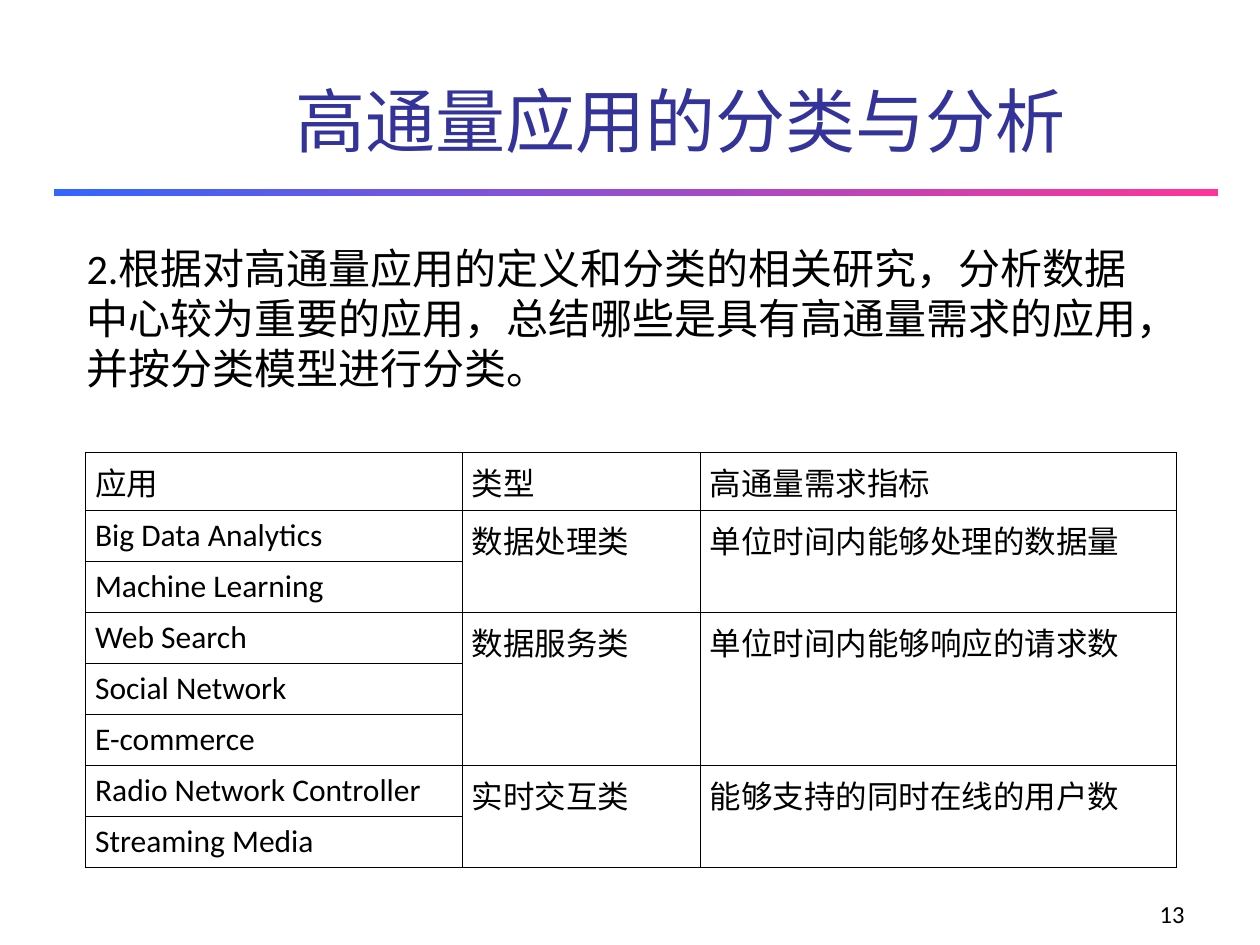
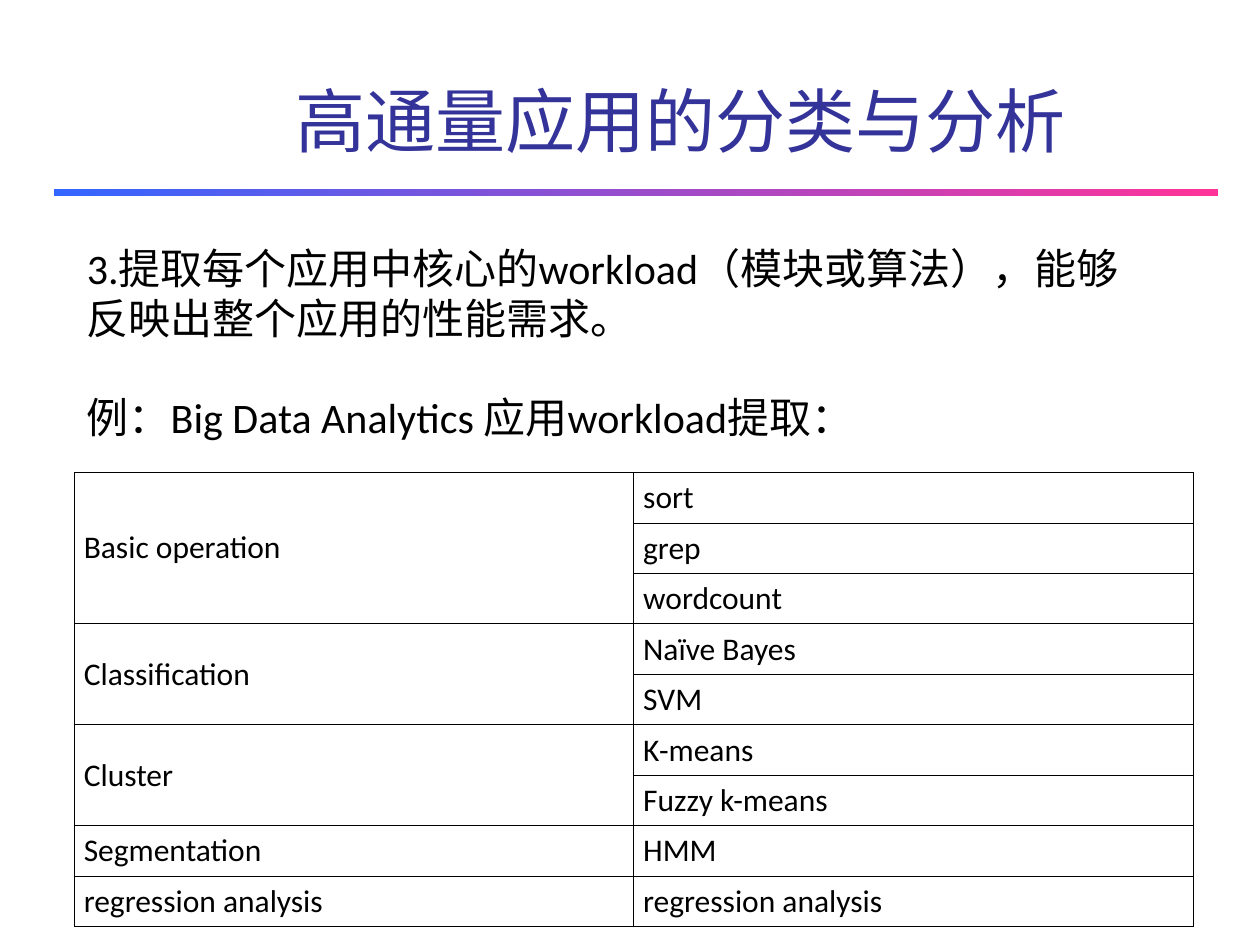
import pptx
import pptx.util
import pptx.dml.color
import pptx.enum.text
import pptx.enum.shapes
import lxml.etree
from dataclasses import dataclass

ALIGN = pptx.enum.text.PP_ALIGN
ANCHOR = pptx.enum.text.MSO_ANCHOR


@dataclass(frozen=True)
class Theme:
    font: str = "Calibri"
    ink: str = "000000"
    paper: str = "FFFFFF"
    head: str = "333399"
    start: str = "3366FF"
    end: str = "FF3399"
    title: int = 40
    body: int = 24
    cell: int = 18
    foot: int = 14
    rule: float = 0.45


theme = Theme()
hue = pptx.dml.color.RGBColor.from_string

# Slide size and a grid of 100 columns by 75 rows
deck = pptx.Presentation()
deck.slide_width = pptx.util.Inches(10)
deck.slide_height = pptx.util.Inches(7.5)
unit = deck.slide_width / 100


def grid(*spans):
    return [round(span * unit) for span in spans]


def write(text, frame, size=theme.body, color=theme.ink, align=ALIGN.LEFT,
          anchor=ANCHOR.TOP, line=None, gap=0):
    frame.word_wrap = True
    frame.vertical_anchor = anchor
    for i, part in enumerate(text.split("\n")):
        para = frame.paragraphs[0] if i == 0 else frame.add_paragraph()
        para.alignment = align
        if line:
            para.line_spacing = pptx.util.Pt(line)
        if i and gap:
            para.space_before = pptx.util.Pt(gap)
        run = para.add_run()
        run.text = part
        run.font.name = theme.font
        run.font.size = pptx.util.Pt(size)
        run.font.color.rgb = hue(color)


# Page content: each table group is a list of columns, short columns are merged
pages = [
    dict(
        body="2.根据对高通量应用的定义和分类的相关研究，分析数据中心较为重要的应用，"
             "总结哪些是具有高通量需求的应用，并按分类模型进行分类。",
        width=87.4, page="13", spot=(6.8, 35.9), cols=(29.9, 18.9, 37.8),
        first=4.6, row=4.05, anchor=ANCHOR.TOP,
        groups=[
            (["应用"], ["类型"], ["高通量需求指标"]),
            (["Big Data Analytics", "Machine Learning"],
             ["数据处理类"], ["单位时间内能够处理的数据量"]),
            (["Web Search", "Social Network", "E-commerce"],
             ["数据服务类"], ["单位时间内能够响应的请求数"]),
            (["Radio Network Controller", "Streaming Media"],
             ["实时交互类"], ["能够支持的同时在线的用户数"]),
        ]),
    dict(
        body="3.提取每个应用中核心的workload（模块或算法），能够反映出整个应用的性能需求。\n"
             "例：Big Data Analytics 应用workload提取：",
        width=85.1, page="", spot=(5.9, 37.5), cols=(44.4, 44.4),
        first=4, row=4, anchor=ANCHOR.MIDDLE,
        groups=[
            (["Basic operation"], ["sort", "grep", "wordcount"]),
            (["Classification"], ["Naïve Bayes", "SVM"]),
            (["Cluster"], ["K-means", "Fuzzy k-means"]),
            (["Segmentation"], ["HMM"]),
            (["regression analysis"], ["regression analysis"]),
        ]),
]

for page in pages:
    slide = deck.slides.add_slide(deck.slide_layouts[6])
    shapes = slide.shapes

    # Gradient band under the title
    band = shapes.add_shape(pptx.enum.shapes.MSO_SHAPE.RECTANGLE,
                            *grid(4.3, 15, 92.4, 0.6))
    band.shadow.inherit = False
    band.line.fill.background()
    band.fill.gradient()
    band.fill.gradient_angle = 0
    for stop, color in zip(band.fill.gradient_stops, (theme.start, theme.end)):
        stop.color.rgb = hue(color)

    # Title, body and page number
    title = shapes.add_textbox(*grid(22.5, 0.8, 75.3, 12.5))
    write("高通量应用的分类与分析", title.text_frame, size=theme.title,
          color=theme.head, anchor=ANCHOR.BOTTOM)
    body = shapes.add_textbox(*grid(5.9, 18.8, page["width"], 13))
    write(page["body"], body.text_frame, line=28.6, gap=28)
    if page["page"]:
        foot = shapes.add_textbox(*grid(74.2, 69.2, 20.8, 5))
        write(page["page"], foot.text_frame, size=theme.foot,
              align=ALIGN.RIGHT, anchor=ANCHOR.BOTTOM)

    # Table frame
    sizes = [max(map(len, group)) for group in page["groups"]]
    rows = [page["first"]] + [page["row"]] * (sum(sizes) - 1)
    cols = page["cols"]
    table = shapes.add_table(len(rows), len(cols), *grid(
        *page["spot"], sum(cols), sum(rows))).table
    table.first_row = table.horz_banding = False
    for col, width in zip(table.columns, grid(*cols)):
        col.width = width
    for row, height in zip(table.rows, grid(*rows)):
        row.height = height

    # Cell borders, fill and margins
    for cell in table.iter_cells():
        props = cell._tc.get_or_add_tcPr()
        for side in ("lnL", "lnR", "lnT", "lnB"):
            edge = lxml.etree.SubElement(
                props, pptx.oxml.ns.qn("a:" + side),
                w=str(int(pptx.util.Pt(theme.rule))))
            solid = lxml.etree.SubElement(edge, pptx.oxml.ns.qn("a:solidFill"))
            lxml.etree.SubElement(solid, pptx.oxml.ns.qn("a:srgbClr"),
                                  val=theme.ink)
        cell.fill.solid()
        cell.fill.fore_color.rgb = hue(theme.paper)
        cell.margin_left, cell.margin_right = grid(0.75, 0.75)
        cell.vertical_anchor = page["anchor"]

    # Cell text, merged down where a group has one entry
    top = 0
    for group, size in zip(page["groups"], sizes):
        for c, words in enumerate(group):
            if len(words) < size:
                table.cell(top, c).merge(table.cell(top + size - 1, c))
            for r, word in enumerate(words):
                write(word, table.cell(top + r, c).text_frame, size=theme.cell,
                      align=ALIGN.JUSTIFY, anchor=page["anchor"])
        top += size

deck.save("out.pptx")
